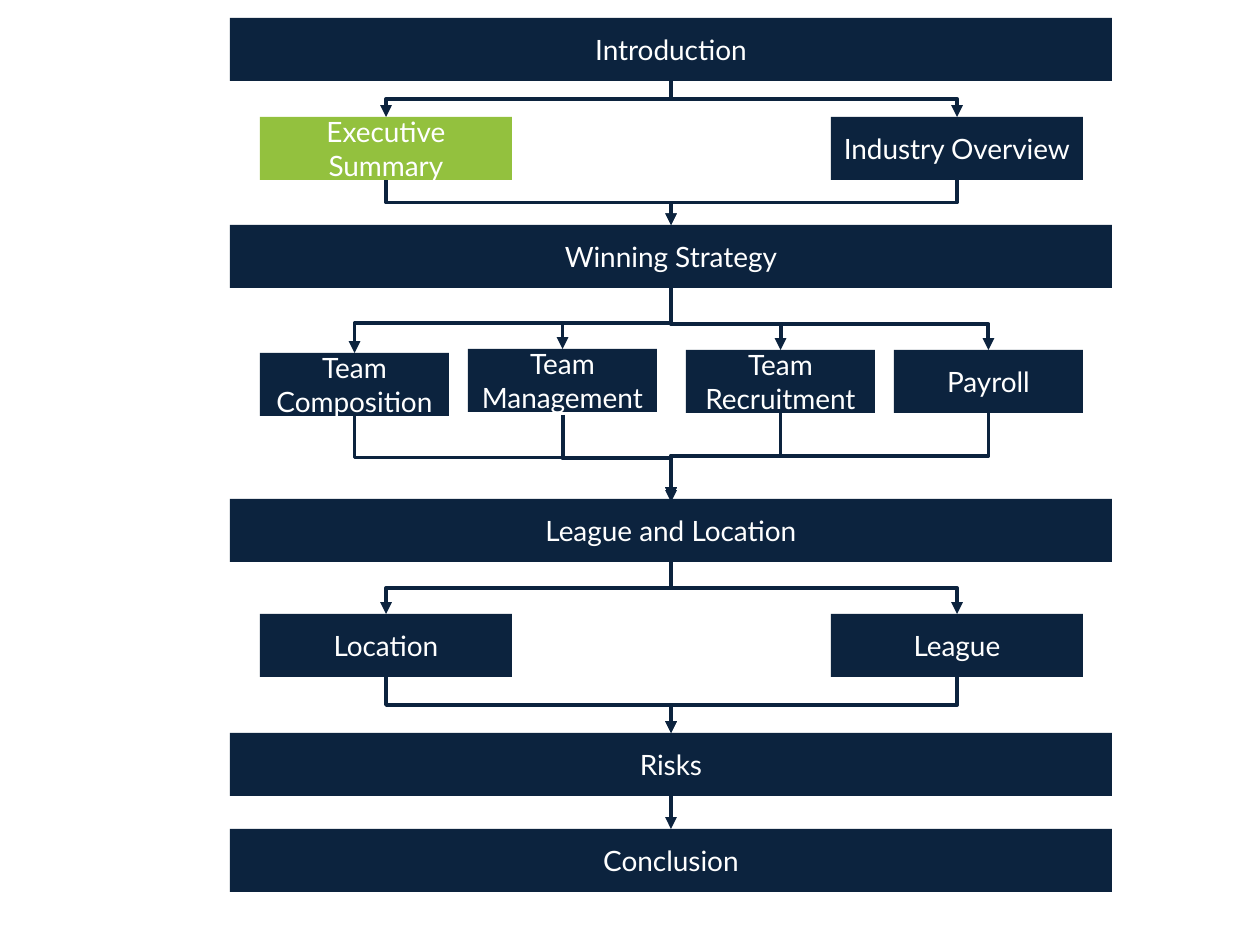
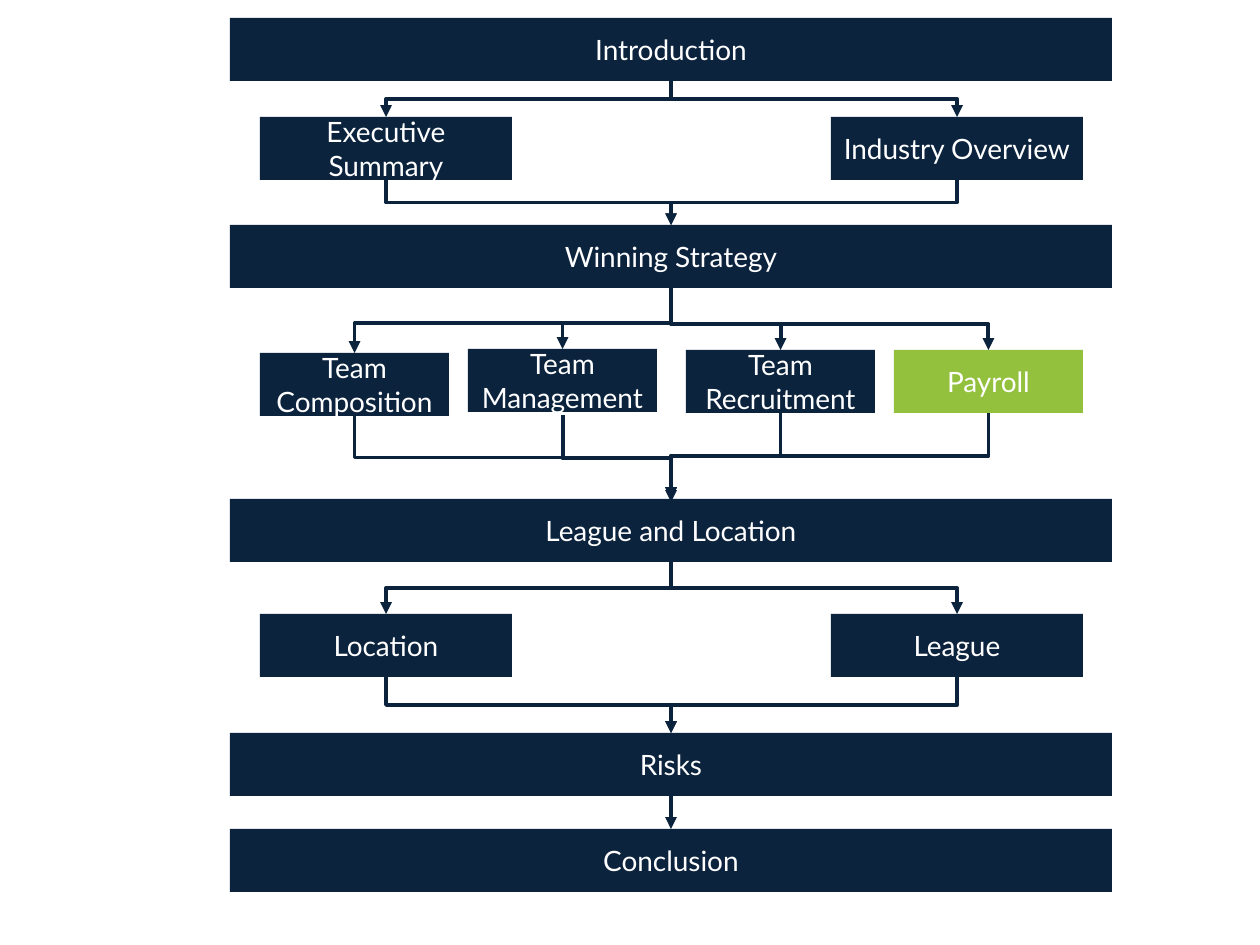
from lxml.etree import SubElement
from pptx import Presentation
from pptx.dml.color import RGBColor
from pptx.enum.shapes import MSO_CONNECTOR as CONNECTOR, MSO_SHAPE as SHAPE
from pptx.enum.text import MSO_ANCHOR as ANCHOR, PP_ALIGN as ALIGN
from pptx.oxml.ns import qn
from pptx.util import Emu, Pt

PX_PER_INCH = 126
COLORS = {"page": "FFFFFF", "step": "0C233E", "current": "93C13E", "text": "FFFFFF"}
FONT = "Lato"

# Steps: left, top and width in px; all share one height
STEP_HEIGHT = 63
BAND_LEFT, BAND_WIDTH = 230, 882
PAIR_LEFTS, PAIR_WIDTH = (260, 831), 252
TEAM_WIDTH = 189
BAND_TOPS = {
    "Introduction": 18,
    "Winning Strategy": 225,
    "League and Location": 499,
    "Risks": 733,
    "Conclusion": 829,
}
PAIRS = {117: ("Executive Summary", "Industry Overview"), 614: ("Location", "League")}
TEAM_PLACES = {
    "Team Composition": (260, 353),
    "Team Management": (468, 349),
    "Team Recruitment": (686, 350),
    "Payroll": (894, 350),
}

# Each stage: band above, branches, band below
STAGES = [
    ("Introduction", PAIRS[117], "Winning Strategy"),
    ("Winning Strategy", tuple(TEAM_PLACES), "League and Location"),
    ("League and Location", PAIRS[614], "Risks"),
]
# Where the split bends, as a share of the drop, when not halfway
SPLIT_BENDS = {
    "Team Composition": 0.54,
    "Team Management": 0.58,
    "Team Recruitment": 0.58,
    "Payroll": 0.58,
}
# Extra px by which a merging arrow is set lower
MERGE_SHIFTS = {"Team Management": 3}

HIGHLIGHTS = ["Executive Summary", "Payroll"]  # one slide each


def px(length):
    return Emu(round(length * 914400 / PX_PER_INCH))


def color(name):
    return RGBColor.from_string(COLORS[name])


def add_step(slide, label, left, top, width, fill):
    step = slide.shapes.add_shape(
        SHAPE.RECTANGLE, px(left), px(top), px(width), px(STEP_HEIGHT))
    step.shadow.inherit = False
    step.fill.solid()
    step.fill.fore_color.rgb = color(fill)
    step.line.fill.background()
    frame = step.text_frame
    frame.text = label
    frame.vertical_anchor = ANCHOR.MIDDLE
    paragraph = frame.paragraphs[0]
    paragraph.alignment = ALIGN.CENTER
    font = paragraph.runs[0].font
    font.name, font.size, font.color.rgb = FONT, Pt(16), color("text")
    return step


def style_arrow(arrow):
    arrow.line.color.rgb = color("step")
    arrow.line.width = Pt(2.25)
    SubElement(arrow.line._get_or_add_ln(), qn("a:tailEnd"), type="triangle")
    SubElement(arrow._element.spPr, qn("a:effectLst"))


def add_straight_arrow(slide, upper, lower):
    arrow = slide.shapes.add_connector(CONNECTOR.STRAIGHT, 0, 0, 0, 0)
    arrow.begin_connect(upper, 2)
    arrow.end_connect(lower, 0)
    style_arrow(arrow)


def add_bent_arrow(slide, start, end, bend=0.5):
    """Go down, across and down again: an elbow turned by a quarter."""
    (x1, y1), (x2, y2) = start, end
    drop, span = y2 - y1, abs(x2 - x1)
    left, top = (x1 + x2 - drop) / 2, (y1 + y2 - span) / 2
    arrow = slide.shapes.add_connector(
        CONNECTOR.ELBOW, px(left), px(top), px(left + drop), px(top + span))
    properties = arrow._element.spPr
    xfrm = properties.find(qn("a:xfrm"))
    if x2 < x1:
        xfrm.set("rot", "5400000")
    else:
        xfrm.set("rot", "16200000")
        xfrm.set("flipH", "1")
    guides = properties.find(qn("a:prstGeom")).get_or_add_avLst()
    SubElement(guides, qn("a:gd"), name="adj1", fmla=f"val {round(bend * 100000)}")
    style_arrow(arrow)


def step_places():
    """Map every label to its left, top and width."""
    places = {label: (BAND_LEFT, top, BAND_WIDTH) for label, top in BAND_TOPS.items()}
    for top, labels in PAIRS.items():
        for label, left in zip(labels, PAIR_LEFTS):
            places[label] = (left, top, PAIR_WIDTH)
    for label, (left, top) in TEAM_PLACES.items():
        places[label] = (left, top, TEAM_WIDTH)
    return places


def top_middle(place, shift=0):
    left, top, width = place
    return left + width / 2, top + shift


def bottom_middle(place, shift=0):
    return top_middle(place, STEP_HEIGHT + shift)


def add_roadmap(deck, current):
    slide = deck.slides.add_slide(deck.slide_layouts[6])
    slide.background.fill.solid()
    slide.background.fill.fore_color.rgb = color("page")

    # Steps
    places = step_places()
    steps = {
        label: add_step(slide, label, *place, "current" if label == current else "step")
        for label, place in places.items()
    }

    # Arrows that split from one band and merge into the next
    for above, branches, below in STAGES:
        for branch in branches:
            add_bent_arrow(slide, bottom_middle(places[above]), top_middle(places[branch]),
                           SPLIT_BENDS.get(branch, 0.5))
            shift = MERGE_SHIFTS.get(branch, 0)
            add_bent_arrow(slide, bottom_middle(places[branch], shift),
                           top_middle(places[below], shift))
    add_straight_arrow(slide, steps["Risks"], steps["Conclusion"])


def main():
    deck = Presentation()
    deck.slide_width, deck.slide_height = px(1260), px(945)
    for current in HIGHLIGHTS:
        add_roadmap(deck, current)
    deck.save("out.pptx")


if __name__ == "__main__":
    main()
